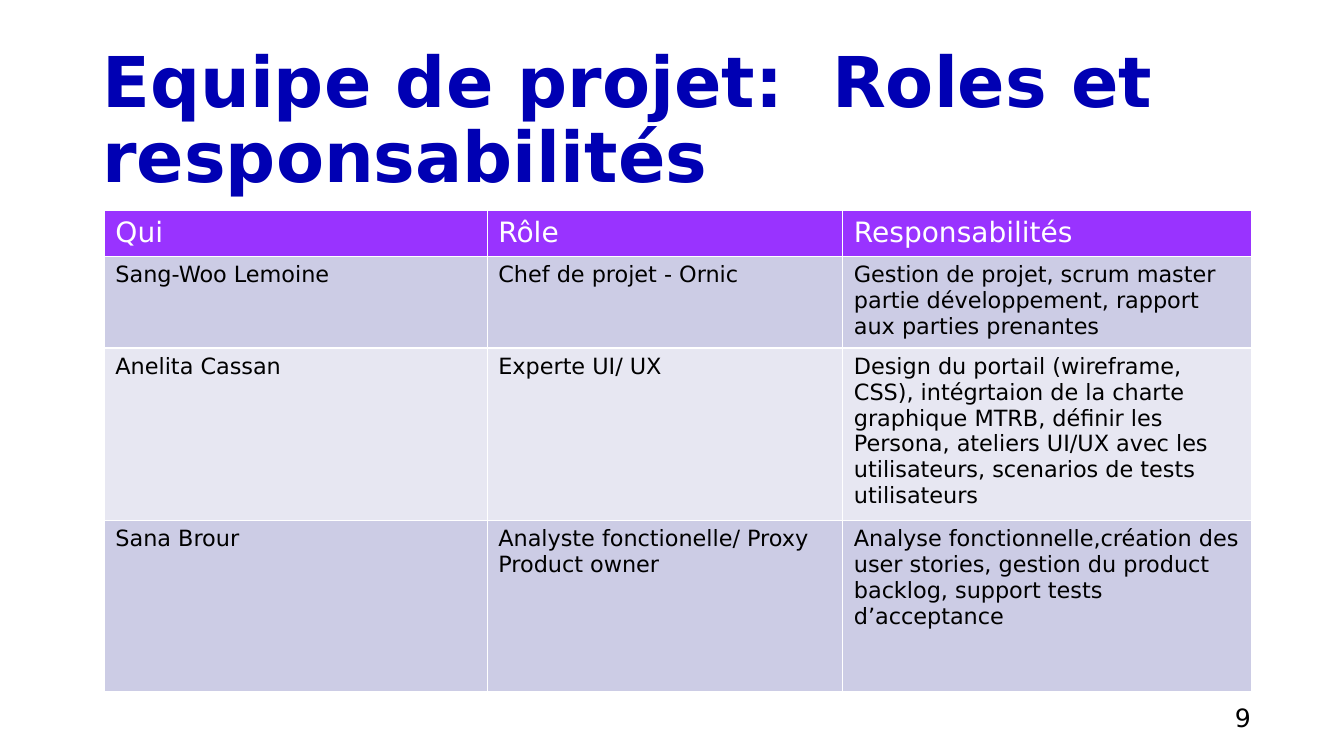
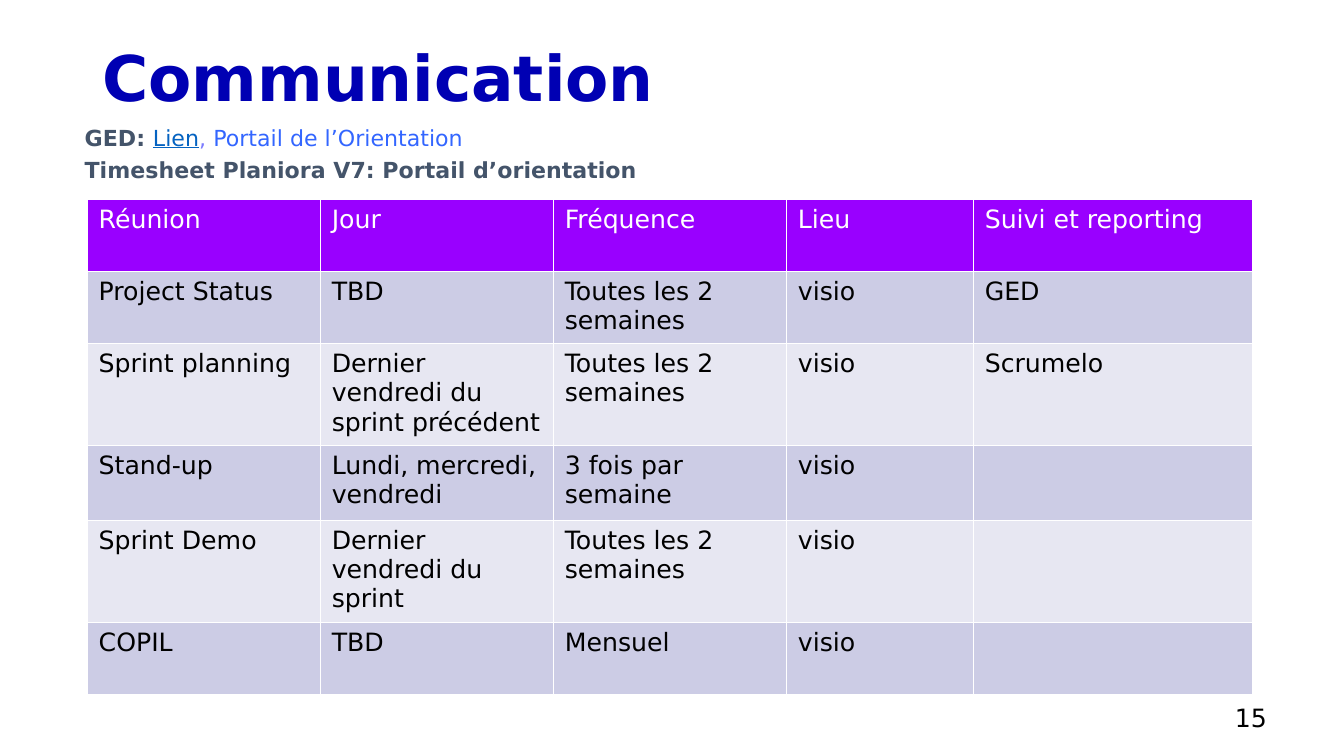
"""Build two project slides: team roles and communication."""
from lxml.etree import SubElement
from pptx import Presentation
from pptx.dml.color import RGBColor
from pptx.oxml.ns import qn
from pptx.util import Pt

FONT = "DejaVu Sans"
BLACK, WHITE = "000000", "FFFFFF"
TITLE_BLUE, SLATE = "0000B3", "44546A"
BANDS = ["CCCCE5", "E7E7F2"]


def add_run(paragraph, text, size, color, bold=False, underline=False):
    """Append one styled run."""
    run = paragraph.add_run()
    run.text = text
    run.font.name = FONT
    run.font.size = Pt(size)
    run.font.bold = bold
    run.font.underline = underline
    run.font.color.rgb = RGBColor.from_string(color)


def add_text_frame(slide, left, top, width, height, inset_x, inset_y):
    """Add a wrapping text box and return its frame."""
    frame = slide.shapes.add_textbox(Pt(left), Pt(top), Pt(width), Pt(height)).text_frame
    frame.word_wrap = True
    frame.margin_left = frame.margin_right = Pt(inset_x)
    frame.margin_top = frame.margin_bottom = Pt(inset_y)
    return frame


team = {
    "title": "Equipe de projet:  Roles et responsabilités",
    "title_size": 50, "title_height": 122, "number": "9",
    "left": 74.5, "top": 150.5, "header_fill": "9933FF",
    "header_size": 20, "body_size": 16,
    "columns": [273.5, 254, 292], "rows": [32.5, 63.5, 119, 122],
    "cells": [
        ["Qui", "Rôle", "Responsabilités"],
        ["Sang-Woo Lemoine", "Chef de projet - Ornic",
         "Gestion de projet, scrum master partie développement, rapport aux parties prenantes"],
        ["Anelita Cassan", "Experte UI/ UX",
         "Design du portail (wireframe, CSS), intégrtaion de la charte graphique MTRB, "
         "définir les Persona, ateliers UI/UX avec les utilisateurs, "
         "scenarios de tests utilisateurs"],
        ["Sana Brour", "Analyste fonctionelle/ Proxy Product owner",
         "Analyse fonctionnelle,création des user stories, gestion du product backlog, "
         "support tests d’acceptance"],
    ],
    "notices": [],
}
communication = {
    "title": "Communication",
    "title_size": 45, "title_height": 65, "number": "15",
    "left": 62.5, "top": 142.5, "header_fill": "9900FF",
    "header_size": 18, "body_size": 18,
    "columns": [166.5, 166.5, 166.5, 133.5, 199],
    "rows": [51.5, 51.5, 71, 53.5, 71, 51.5],
    "cells": [
        ["Réunion", "Jour", "Fréquence", "Lieu", "Suivi et reporting"],
        ["Project Status", "TBD", "Toutes les 2 semaines", "visio", "GED"],
        ["Sprint planning", "Dernier vendredi du sprint précédent",
         "Toutes les 2 semaines", "visio", "Scrumelo"],
        ["Stand-up", "Lundi, mercredi, vendredi", "3 fois par semaine", "visio", ""],
        ["Sprint Demo", "Dernier vendredi du sprint", "Toutes les 2 semaines", "visio", ""],
        ["COPIL", "TBD", "Mensuel", "visio", ""],
    ],
    "notices": [
        [("GED: ", SLATE, True, False), ("Lien", "0563C1", False, True),
         (", ", "7B7BFF", False, False), ("Portail de l’Orientation", "3366FF", False, False)],
        [("Timesheet Planiora V7: Portail d’orientation", SLATE, True, False)],
    ],
}

presentation = Presentation()
presentation.slide_width, presentation.slide_height = Pt(960), Pt(540)

for content in (team, communication):
    slide = presentation.slides.add_slide(presentation.slide_layouts[6])

    frame = add_text_frame(slide, 66, 30, 828, content["title_height"], 7.2, 3.6)
    paragraph = frame.paragraphs[0]
    paragraph.line_spacing = 0.9
    add_run(paragraph, content["title"], content["title_size"], TITLE_BLUE, bold=True)

    if content["notices"]:
        frame = add_text_frame(slide, 51, 84, 870, 54, 9.5, 5)
        for index, notice in enumerate(content["notices"]):
            paragraph = frame.add_paragraph() if index else frame.paragraphs[0]
            paragraph.space_before = Pt(4)
            for text, color, bold, underline in notice:
                add_run(paragraph, text, 15.8, color, bold, underline)

    columns, rows = content["columns"], content["rows"]
    table = slide.shapes.add_table(
        len(rows), len(columns), Pt(content["left"]), Pt(content["top"]),
        Pt(sum(columns)), Pt(sum(rows))).table
    for column, width in zip(table.columns, columns):
        column.width = Pt(width)
    for row_index, (row, height) in enumerate(zip(table.rows, rows)):
        row.height = Pt(height)
        is_header = row_index == 0
        fill = content["header_fill"] if is_header else BANDS[(row_index - 1) % 2]
        size = content["header_size"] if is_header else content["body_size"]
        for cell, text in zip(row.cells, content["cells"][row_index]):
            cell.margin_left = cell.margin_right = Pt(8)
            cell.margin_top = cell.margin_bottom = Pt(4)
            properties = cell._tc.get_or_add_tcPr()
            for side in ("a:lnL", "a:lnR", "a:lnT", "a:lnB"):
                border = SubElement(properties, qn(side), w=str(Pt(1)))
                border_fill = SubElement(border, qn("a:solidFill"))
                SubElement(border_fill, qn("a:srgbClr"), val=WHITE)
            cell.fill.solid()
            cell.fill.fore_color.rgb = RGBColor.from_string(fill)
            if text:
                add_run(cell.text_frame.paragraphs[0], text, size,
                        WHITE if is_header else BLACK)

    frame = add_text_frame(slide, 873.5, 497, 67.5, 20, 8.5, 4.5)
    add_run(frame.paragraphs[0], content["number"], 18, BLACK)

presentation.save("out.pptx")
